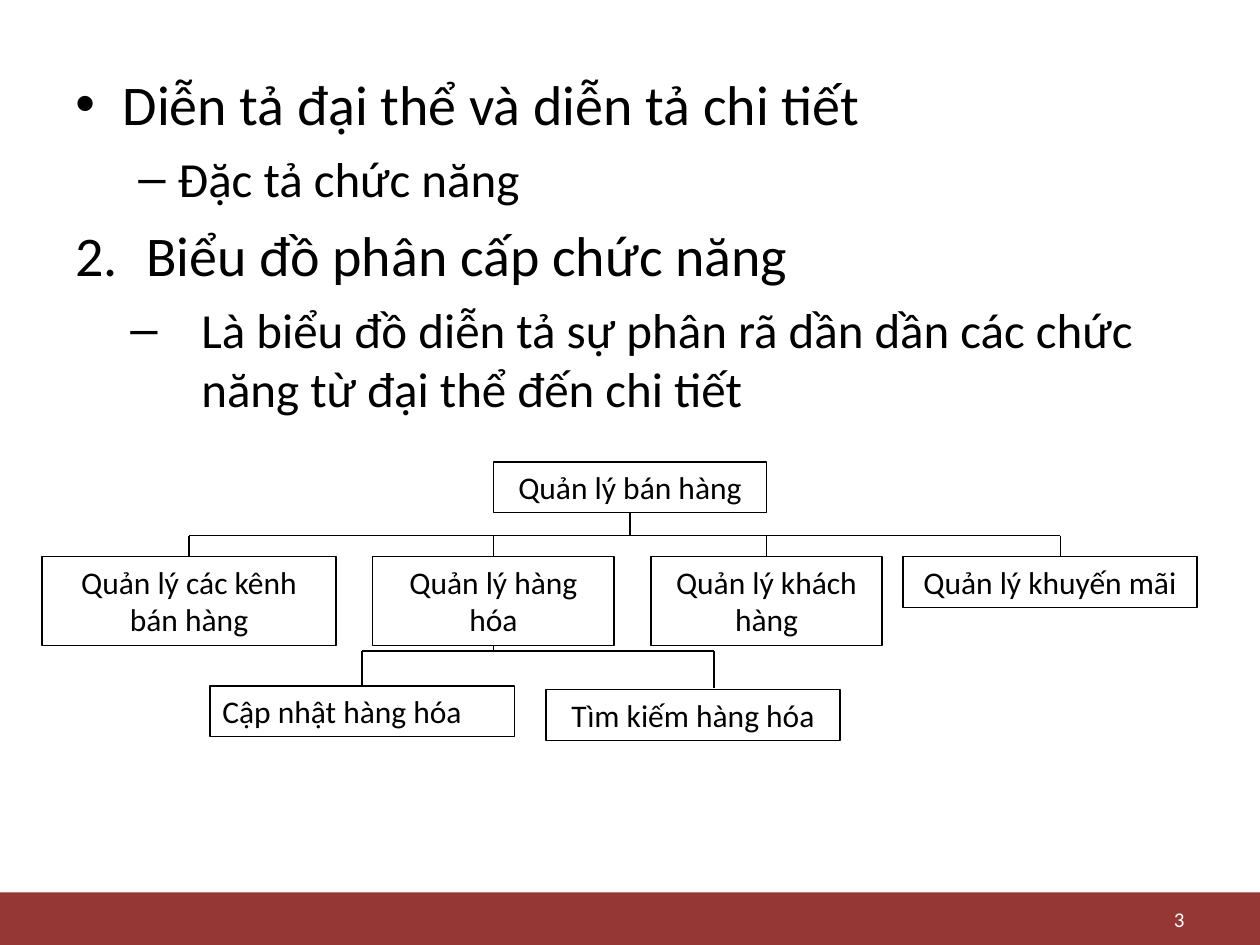
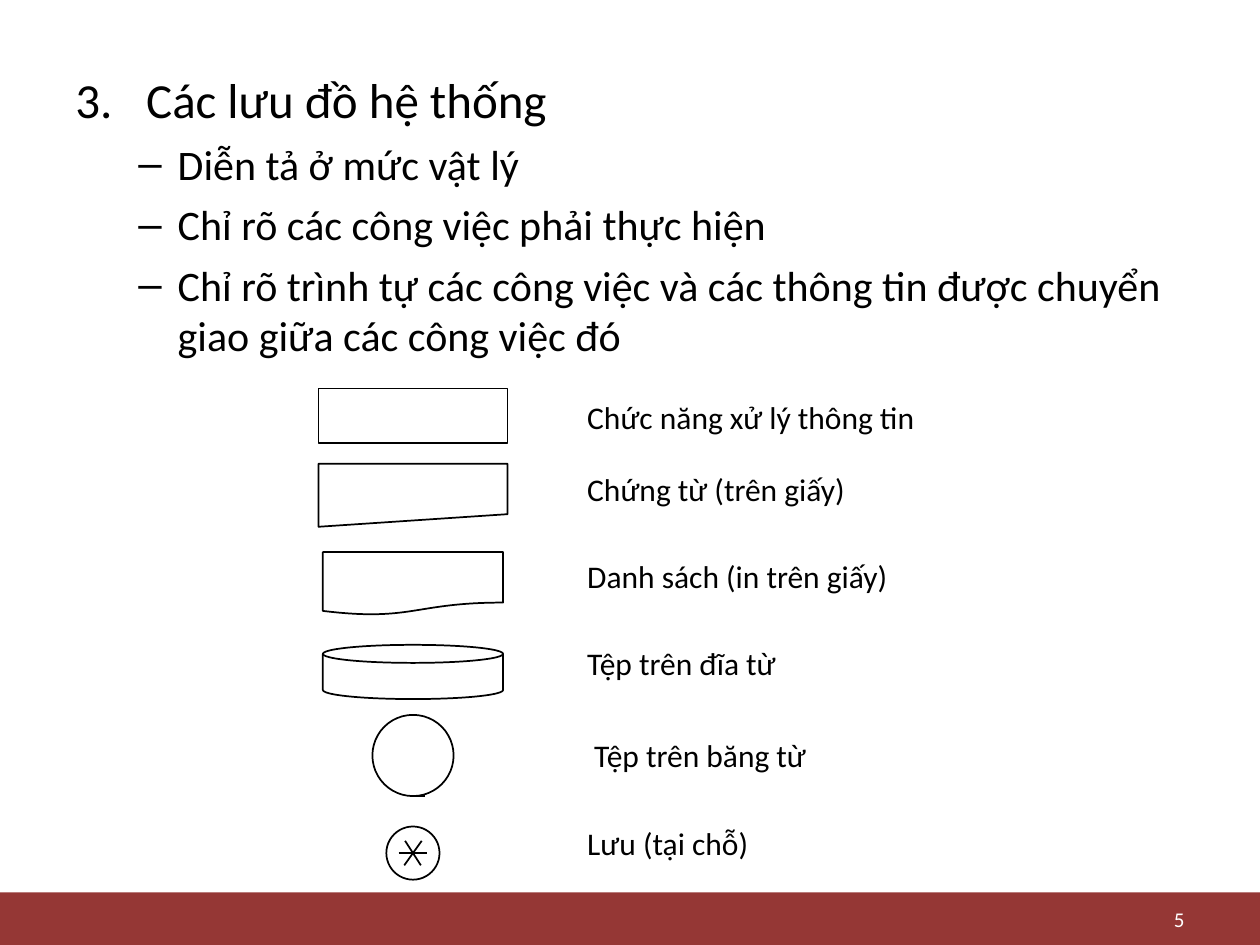
from dataclasses import dataclass

from lxml import etree
from pptx import Presentation
from pptx.dml.color import RGBColor
from pptx.enum.shapes import MSO_CONNECTOR, MSO_SHAPE
from pptx.enum.text import MSO_ANCHOR, PP_ALIGN
from pptx.oxml.ns import qn
from pptx.util import Pt

RECTANGLE = MSO_SHAPE.RECTANGLE
OVAL = MSO_SHAPE.OVAL
MANUAL_INPUT = MSO_SHAPE.FLOWCHART_MANUAL_INPUT
DOCUMENT = MSO_SHAPE.FLOWCHART_DOCUMENT
DISK = MSO_SHAPE.FLOWCHART_MAGNETIC_DISK
JUNCTION = MSO_SHAPE.FLOWCHART_CONNECTOR
STRAIGHT = MSO_CONNECTOR.STRAIGHT
LEFT, CENTER, RIGHT = PP_ALIGN.LEFT, PP_ALIGN.CENTER, PP_ALIGN.RIGHT
TOP, MIDDLE = MSO_ANCHOR.TOP, MSO_ANCHOR.MIDDLE


@dataclass(frozen=True)
class Theme:
    font: str = "Calibri"
    ink: RGBColor = RGBColor(0, 0, 0)
    light: RGBColor = RGBColor(255, 255, 255)
    band: RGBColor = RGBColor(0x95, 0x37, 0x35)
    label_size: int = 18
    number_size: int = 12
    box_line: float = 0.75
    line: float = 1
    space_before: float = 0.24


THEME = Theme()
PAGE_WIDTH, PAGE_HEIGHT = 720, 540
BAND_TOP = 510


def style_paragraph(para, size, color=THEME.ink, align=LEFT):
    para.alignment = align
    for span in para.runs:
        span.font.name = THEME.font
        span.font.size = Pt(size)
        span.font.color.rgb = color


def fill_text(shape, text, size, color=THEME.ink, align=LEFT, anchor=TOP):
    frame = shape.text_frame
    frame.word_wrap = True
    frame.vertical_anchor = anchor
    frame.text = text
    style_paragraph(frame.paragraphs[0], size, color, align)


def add_label(shapes, text, left, top, width, height, **style):
    box = shapes.add_textbox(Pt(left), Pt(top), Pt(width), Pt(height))
    fill_text(box, text, **style)


def add_outline(shapes, kind, left, top, width, height, weight=THEME.line):
    shape = shapes.add_shape(kind, Pt(left), Pt(top), Pt(width), Pt(height))
    shape.shadow.inherit = False
    shape.fill.background()
    shape.line.color.rgb = THEME.ink
    shape.line.width = Pt(weight)
    return shape


def add_line(shapes, x1, y1, x2, y2):
    line = shapes.add_connector(STRAIGHT, Pt(x1), Pt(y1), Pt(x2), Pt(y2))
    line.line.color.rgb = THEME.ink
    line.line.width = Pt(THEME.line)
    etree.SubElement(line._element.spPr, qn("a:effectLst"))


def set_bullet(para, mark, margin, hanging):
    properties = para._p.get_or_add_pPr()
    properties.set("marL", str(Pt(margin)))
    properties.set("indent", str(-Pt(hanging)))
    if isinstance(mark, int):
        number = etree.SubElement(properties, qn("a:buAutoNum"))
        number.set("type", "arabicPeriod")
        number.set("startAt", str(mark))
    else:
        etree.SubElement(properties, qn("a:buFont")).set("typeface", "Arial")
        etree.SubElement(properties, qn("a:buChar")).set("char", mark)


def add_outline_list(page, items, height):
    box = page.shapes.add_textbox(Pt(36), Pt(36), Pt(648), Pt(height))
    frame = box.text_frame
    frame.word_wrap = True
    for index, (text, size, mark, margin, hanging) in enumerate(items):
        para = frame.add_paragraph() if index else frame.paragraphs[0]
        para.text = text
        style_paragraph(para, size)
        if index:
            para.space_before = Pt(round(size * THEME.space_before, 1))
        set_bullet(para, mark, margin, hanging)


def add_page(deck, number):
    page = deck.slides.add_slide(deck.slide_layouts[6])
    band = page.shapes.add_shape(
        RECTANGLE, 0, Pt(BAND_TOP), Pt(PAGE_WIDTH), Pt(PAGE_HEIGHT - BAND_TOP))
    band.shadow.inherit = False
    band.fill.solid()
    band.fill.fore_color.rgb = THEME.band
    band.line.fill.background()
    add_label(page.shapes, str(number), 516, 516, 168, 18, size=THEME.number_size,
              color=THEME.light, align=RIGHT, anchor=MIDDLE)
    return page


def add_function_box(page, text, left, top, width, height=29, align=CENTER):
    box = add_outline(page.shapes, RECTANGLE, left, top, width, height, THEME.box_line)
    fill_text(box, text, THEME.label_size, align=align)


def add_branches(page, parent_x, parent_bottom, bus_y, drops):
    add_line(page.shapes, parent_x, parent_bottom, parent_x, bus_y)
    add_line(page.shapes, drops[0][0], bus_y, drops[-1][0], bus_y)
    for x, bottom in drops:
        add_line(page.shapes, x, bus_y, x, bottom)


def add_function_tree(page):
    level_top, two_lines = 318, 51
    add_function_box(page, "Quản lý bán hàng", 282, 264, 156)
    for text, left, width, height in (
        ("Quản lý các kênh bán hàng", 24, 168, two_lines),
        ("Quản lý hàng hóa", 213, 138, two_lines),
        ("Quản lý khách hàng", 372, 132, two_lines),
        ("Quản lý khuyến mãi", 516, 168, 29),
    ):
        add_function_box(page, text, left, level_top, width, height)
    add_function_box(page, "Cập nhật hàng hóa", 120, 392, 174, align=LEFT)
    add_function_box(page, "Tìm kiếm hàng hóa", 312, 394, 168)
    add_branches(page, 360, 293, 306, [(x, level_top) for x in (108, 282, 438, 606)])
    add_branches(page, 282, level_top + two_lines, 372, [(207, 392), (408, 393)])


def add_store_star(page, center_x, center_y):
    group = page.shapes.add_group_shape()
    radius = 15.2
    add_outline(group.shapes, JUNCTION, center_x - radius, center_y - radius,
                2 * radius, 2 * radius)
    for dx, dy in ((5, -7), (-4.5, -7), (-8.2, 0)):
        add_line(group.shapes, center_x + dx, center_y + dy, center_x - dx, center_y - dy)


def add_symbol_legend(page):
    center_x, label_left = 236, 328.5
    for kind, top, width, height, turn in (
        (RECTANGLE, 222, 108, 31, 0),
        (MANUAL_INPUT, 265, 108, 36, 180),
        (DOCUMENT, 315.5, 103, 36, 0),
        (DISK, 368.5, 103, 31, 0),
        (OVAL, 408.5, 46.4, 46.4, 0),
    ):
        symbol = add_outline(page.shapes, kind, center_x - width / 2, top, width, height)
        symbol.rotation = turn
    add_line(page.shapes, center_x, 455, center_x + 7, 455)
    add_store_star(page, center_x, 487.5)
    for text, left, top in (
        ("Chức năng xử lý thông tin", label_left, 224),
        ("Chứng từ (trên giấy)", label_left, 265),
        ("Danh sách (in trên giấy)", label_left, 315),
        ("Tệp trên đĩa từ", label_left, 364.5),
        ("Tệp trên băng từ", label_left + 4, 417),
        ("Lưu (tại chỗ)", label_left, 467.5),
    ):
        add_label(page.shapes, text, left, top, 216, 29, size=THEME.label_size)


def main():
    deck = Presentation()
    deck.slide_width, deck.slide_height = Pt(PAGE_WIDTH), Pt(PAGE_HEIGHT)

    page = add_page(deck, 3)
    add_outline_list(page, [
        ("Diễn tả đại thể và diễn tả chi tiết", 32, "•", 27, 27),
        ("Đặc tả chức năng", 28, "–", 58.5, 22.5),
        ("Biểu đồ phân cấp chức năng", 32, 2, 40.5, 40.5),
        ("Là biểu đồ diễn tả sự phân rã dần dần các chức năng từ đại thể đến chi tiết",
         28, "–", 72, 40.5),
    ], 222)
    add_function_tree(page)

    page = add_page(deck, 5)
    details = (
        "Diễn tả ở mức vật lý",
        "Chỉ rõ các công việc phải thực hiện",
        "Chỉ rõ trình tự các công việc và các thông tin được chuyển giao giữa các công việc đó",
    )
    add_outline_list(page, [("Các lưu đồ hệ thống", 28, 3, 40.5, 40.5)]
                     + [(text, 24, "–", 58.5, 22.5) for text in details], 210)
    add_symbol_legend(page)

    deck.save("out.pptx")


if __name__ == "__main__":
    main()
